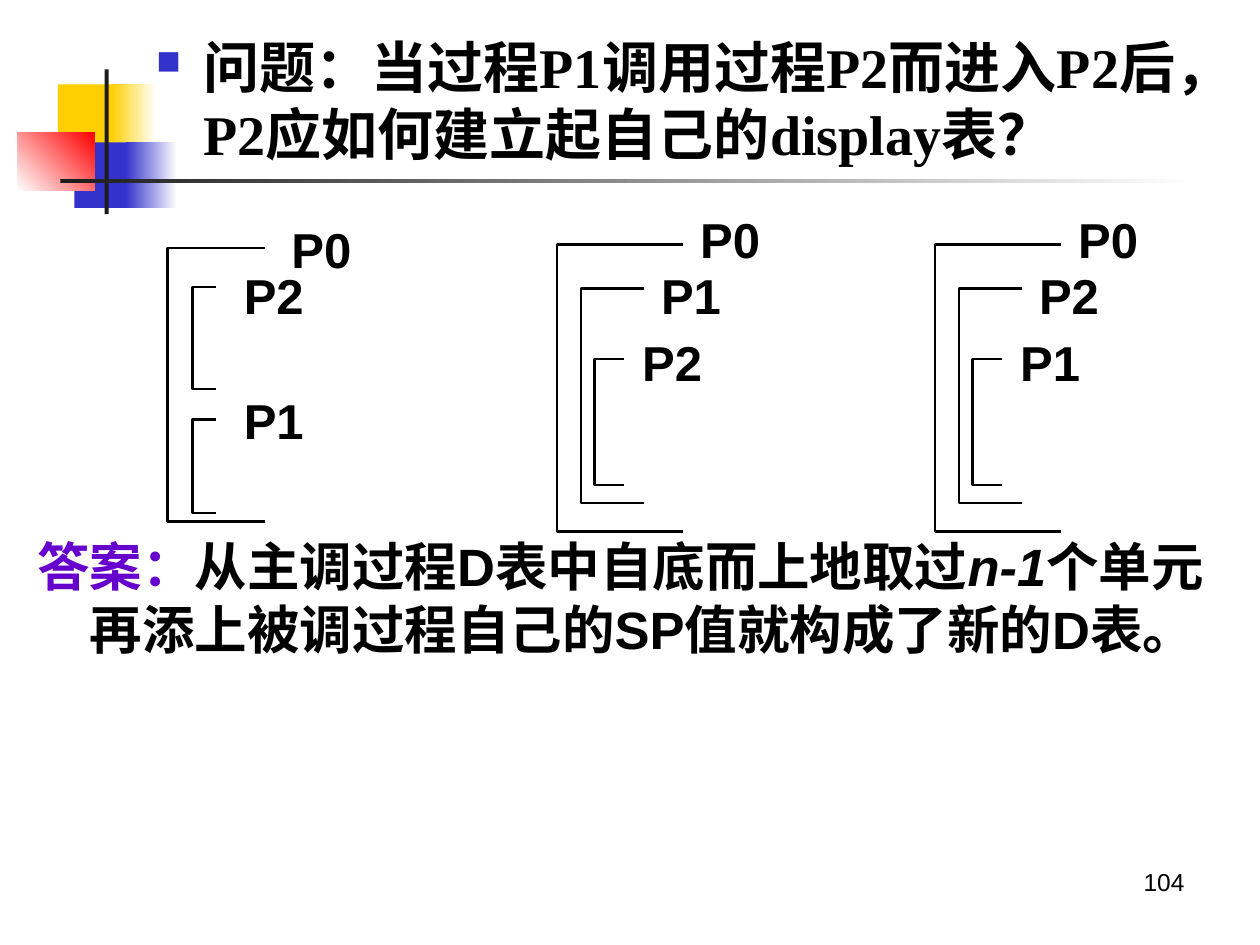
from lxml import etree
from pptx import Presentation
from pptx.dml.color import RGBColor
from pptx.enum.shapes import MSO_SHAPE
from pptx.enum.text import MSO_ANCHOR, PP_ALIGN
from pptx.oxml.ns import qn
from pptx.util import Cm, Pt

RECTANGLE = MSO_SHAPE.RECTANGLE
MIDDLE = MSO_ANCHOR.MIDDLE
LEFT, CENTER, RIGHT = PP_ALIGN.LEFT, PP_ALIGN.CENTER, PP_ALIGN.RIGHT

BLACK = RGBColor(0x00, 0x00, 0x00)
WHITE = RGBColor(0xFF, 0xFF, 0xFF)
CHARCOAL = RGBColor(0x1C, 0x1C, 0x1C)
YELLOW = RGBColor(0xFF, 0xCF, 0x01)
BLUE = RGBColor(0x33, 0x33, 0xCC)
RED = RGBColor(0xFF, 0x00, 0x00)
PURPLE = RGBColor(0x66, 0x00, 0xCC)

DECORATION = [
    (1.17, 1.7, 1.22, 1.32, YELLOW, None, 0),
    (2.24, 1.7, 0.91, 1.32, YELLOW, WHITE, 0),
    (1.5, 2.87, 1.17, 1.32, BLUE, None, 0),
    (2.54, 2.87, 1.02, 1.32, BLUE, WHITE, 0),
    (0.36, 2.67, 1.55, 1.17, WHITE, RED, 45),
    (2.11, 1.4, 0.08, 2.92, CHARCOAL, None, 0),
    (1.22, 3.6, 22.86, 0.1, CHARCOAL, WHITE, 0),
]

SIBLING_BRACKETS = [(0, 5, 1.96, 5.51), (0.5, 5.79, 0.48, 2.05), (0.5, 8.46, 0.48, 1.88)]
SIBLING_LABELS = [(1.95, 4.37), (0.99, 5.31), (0.99, 7.82)]
NESTED_BRACKETS = [(0, 4.93, 2.54, 5.79), (0.48, 5.82, 1.27, 4.32), (0.76, 7.24, 0.58, 2.54)]
NESTED_LABELS = [(2.34, 4.17), (1.55, 5.31), (1.17, 6.65)]

DIAGRAMS = [
    (3.38, SIBLING_BRACKETS, SIBLING_LABELS, ("P0", "P2", "P1")),
    (11.23, NESTED_BRACKETS, NESTED_LABELS, ("P0", "P1", "P2")),
    (18.85, NESTED_BRACKETS, NESTED_LABELS, ("P0", "P2", "P1")),
]


def add_block(page, left, top, width, height, start, end, angle):
    block = page.shapes.add_shape(RECTANGLE, Cm(left), Cm(top), Cm(width), Cm(height))
    block.shadow.inherit = False
    block.line.fill.background()
    if end is None:
        block.fill.solid()
        block.fill.fore_color.rgb = start
        return
    block.fill.gradient()
    block.fill.gradient_angle = angle
    for stop, color in zip(block.fill.gradient_stops, (start, end)):
        stop.color.rgb = color


def add_box(shapes, left, top, width, height, align=LEFT, wrap=True):
    box = shapes.add_textbox(Cm(left), Cm(top), Cm(width), Cm(height))
    box.text_frame.word_wrap = wrap
    para = box.text_frame.paragraphs[0]
    para.alignment = align
    return box, para


def add_span(para, text, size, font="Arial", color=BLACK, bold=True, italic=False):
    span = para.add_run()
    span.text = text
    span.font.size = Pt(size)
    span.font.name = font
    span.font.color.rgb = color
    span.font.bold = bold
    span.font.italic = italic


def set_hanging(para, indent):
    properties = para._p.get_or_add_pPr()
    properties.set("marL", str(Cm(indent)))
    properties.set("indent", str(-Cm(indent)))
    return properties


def add_bullet(properties, character, color, percent):
    holder = etree.SubElement(properties, qn("a:buClr"))
    etree.SubElement(holder, qn("a:srgbClr"), val=str(color))
    etree.SubElement(properties, qn("a:buSzPct"), val=str(percent * 1000))
    etree.SubElement(properties, qn("a:buChar"), char=character)


def add_bracket(shapes, left, top, width, height):
    right, bottom = Cm(left + width), Cm(top + height)
    builder = shapes.build_freeform(right, Cm(top))
    builder.add_line_segments(
        [(Cm(left), Cm(top)), (Cm(left), bottom), (right, bottom)], close=False
    )
    bracket = builder.convert_to_shape()
    bracket.shadow.inherit = False
    bracket.fill.background()
    bracket.line.color.rgb = BLACK
    bracket.line.width = Pt(1.5)


def add_diagram(page, left, brackets, positions, names):
    shapes = page.shapes.add_group_shape().shapes
    for offset, top, width, height in brackets:
        add_bracket(shapes, left + offset, top, width, height)
    for (offset, top), name in zip(positions, names):
        box, para = add_box(shapes, left + offset, top, 2.3, 1.28, CENTER, wrap=False)
        box.text_frame.vertical_anchor = MIDDLE
        add_span(para, name, 28)


def add_question(page):
    _, para = add_box(page.shapes, 2.9, 0.53, 22.02, 3.18)
    add_bullet(set_hanging(para, 0.95), "■", BLUE, 60)
    question = "问题：当过程P1调用过程P2而进入P2后，P2应如何建立起自己的display表？"
    add_span(para, question, 32, font="Times New Roman")


def add_answer(page):
    _, para = add_box(page.shapes, 0.5, 10.65, 24.6, 6.86)
    set_hanging(para, 1.06)
    add_span(para, "答案：", 30, color=PURPLE)
    add_span(para, "从主调过程D表中自底而上地取过", 30)
    add_span(para, "n-1", 30, italic=True)
    add_span(para, "个单元再添上被调过程自己的SP值就构成了新的D表。", 30)


def add_page_number(page):
    _, para = add_box(page.shapes, 18.21, 17.35, 5.92, 1.32, RIGHT)
    add_span(para, "104", 14, bold=False)


def main():
    deck = Presentation()
    deck.slide_width, deck.slide_height = Cm(25.4), Cm(19.05)
    page = deck.slides.add_slide(deck.slide_layouts[6])
    for block in DECORATION:
        add_block(page, *block)
    add_page_number(page)
    add_question(page)
    add_answer(page)
    for diagram in DIAGRAMS:
        add_diagram(page, *diagram)
    deck.save("out.pptx")


if __name__ == "__main__":
    main()
